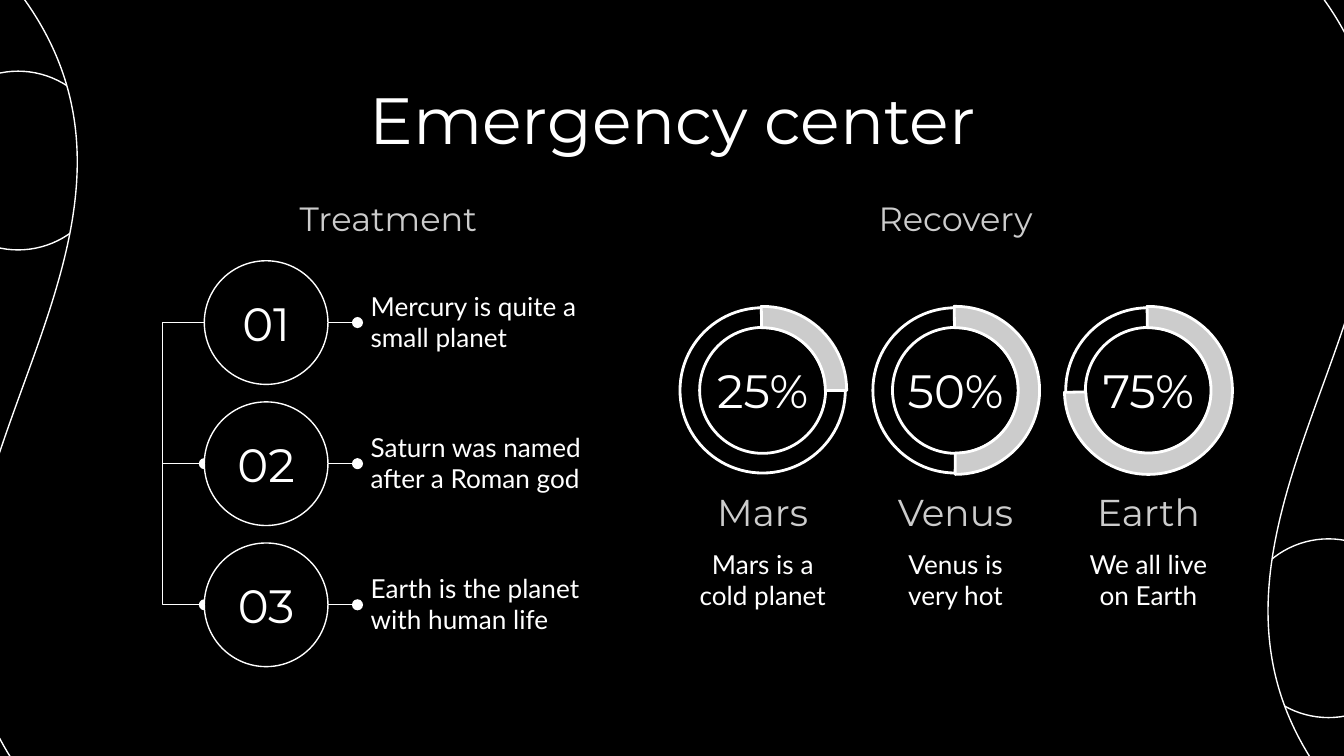
"""Build the Emergency center slide with treatment steps and recovery rings."""
from lxml import etree
from pptx import Presentation
from pptx.dml.color import RGBColor
from pptx.enum.shapes import MSO_CONNECTOR, MSO_SHAPE
from pptx.enum.text import MSO_ANCHOR, MSO_AUTO_SIZE, PP_ALIGN
from pptx.oxml.ns import qn
from pptx.util import Emu, Inches, Pt

STRAIGHT, ELBOW = MSO_CONNECTOR.STRAIGHT, MSO_CONNECTOR.ELBOW
ELLIPSE, WAVE = MSO_SHAPE.OVAL, MSO_SHAPE.WAVE
DONUT, BLOCK_ARC = MSO_SHAPE.DONUT, MSO_SHAPE.BLOCK_ARC
TOP, MIDDLE, BOTTOM = MSO_ANCHOR.TOP, MSO_ANCHOR.MIDDLE, MSO_ANCHOR.BOTTOM
LEFT, CENTER = PP_ALIGN.LEFT, PP_ALIGN.CENTER

BLACK, WHITE, GRAY = "000000", "FFFFFF", "CCCCCC"
HEADING_FONT, BODY_FONT = "Montserrat", "Lato"

TITLE = "Emergency center"
SECTIONS = [("Treatment", 0.78), ("Recovery", 5)]
STEPS = [
    ("01", "Mercury is quite a small planet"),
    ("02", "Saturn was named after a Roman god"),
    ("03", "Earth is the planet with human life"),
]
RINGS = [
    ("25%", "Mars", "Mars is a cold planet", 107.98),
    ("50%", "Venus", "Venus is very hot", 53.82),
    ("75%", "Earth", "We all live on Earth", 0.8),
]
ARC_START, ARC_THICKNESS, RING_THICKNESS = 162.57, 0.127, 0.119

SLIDE_WIDTH = Inches(10)
SLIDE_HEIGHT = SLIDE_WIDTH * 9 // 16
CIRCLE_LEFT, CIRCLE_TOP, CIRCLE_SIZE, STEP_GAP = 1.52, 1.94, 0.92, 1.05
NOTE_LEFT = 2.66
BRACKET_REACH, BRACKET_WIDTH = Inches(0.26), Emu(600)
RING_LEFT, RING_TOP, RING_SIZE = 5.05, 2.28, 1.25
RING_GAP = (7.92 - RING_LEFT) / 2


def color(hex_value):
    return RGBColor.from_string(hex_value)


def write(shape, text, size, font, ink, align=CENTER, anchor=TOP, inset=0.1):
    frame = shape.text_frame
    frame.auto_size = MSO_AUTO_SIZE.NONE
    frame.word_wrap = True
    frame.vertical_anchor = anchor
    frame.margin_left = frame.margin_right = Inches(inset)
    frame.margin_top = frame.margin_bottom = Inches(inset)
    frame.text = text
    paragraph = frame.paragraphs[0]
    paragraph.alignment = align
    paragraph.font.size = Pt(size)
    paragraph.font.name = font
    paragraph.font.color.rgb = color(ink)


def add_text(shapes, box, *args, **options):
    write(shapes.add_textbox(*map(Inches, box)), *args, **options)


def add_outline(shapes, kind, box, fill=BLACK, weight=0.75, adjustments=()):
    shape = shapes.add_shape(kind, *map(Inches, box))
    shape.shadow.inherit = False
    if fill:
        shape.fill.solid()
        shape.fill.fore_color.rgb = color(fill)
    else:
        shape.fill.background()
    shape.line.color.rgb = color(WHITE)
    shape.line.width = Pt(weight)
    for index, value in enumerate(adjustments):
        shape.adjustments[index] = value
    return shape


def add_dotted_line(shapes, kind, *ends):
    connector = shapes.add_connector(kind, *ends)
    connector.line.color.rgb = color(WHITE)
    connector.line.width = Pt(0.75)
    etree.SubElement(connector.line._get_or_add_ln(), qn("a:tailEnd"), type="oval")
    properties = connector._element.spPr
    etree.SubElement(properties, qn("a:effectLst"))
    if kind == ELBOW:
        bend = round(-BRACKET_REACH / BRACKET_WIDTH * 100000)
        guides = properties.find(qn("a:prstGeom")).get_or_add_avLst()
        etree.SubElement(guides, qn("a:gd"), name="adj1", fmla=f"val {bend}")


def add_backdrop(slide):
    slide.background.fill.solid()
    slide.background.fill.fore_color.rgb = color(BLACK)
    for left, top in [(9.22, 4.01), (-0.53, 0.53)]:
        add_outline(slide.shapes, ELLIPSE, (left, top, 1.33, 1.33))
    wave = add_outline(slide.shapes, WAVE, (2.11, -2.38, 5.79, 10.51),
                       adjustments=(0.04, 0))
    wave.rotation = 270


def add_title(slide):
    title = slide.shapes.title
    title.left, title.top, title.width, title.height = map(
        Inches, (0.79, 0.49, 8.43, 0.63))
    write(title, TITLE, 35, HEADING_FONT, WHITE)
    title._element.getparent().append(title._element)


def add_steps(shapes):
    tops = [CIRCLE_TOP + STEP_GAP * row for row in range(len(STEPS))]
    centers = [Inches(top + CIRCLE_SIZE / 2) for top in tops]
    left = Inches(CIRCLE_LEFT)
    for y in centers:
        add_dotted_line(shapes, STRAIGHT, Inches(CIRCLE_LEFT + CIRCLE_SIZE), y,
                        Inches(NOTE_LEFT), y)
    for upper, lower in zip(centers, centers[1:]):
        add_dotted_line(shapes, ELBOW, left, upper, left + BRACKET_WIDTH, lower)
    for (number, note), top in zip(STEPS, tops):
        group = shapes.add_group_shape().shapes
        add_text(group, (NOTE_LEFT, top + 0.12, 1.86, 0.67), note, 14,
                 BODY_FONT, WHITE, align=LEFT)
        circle = add_outline(group, ELLIPSE,
                             (CIRCLE_LEFT, top, CIRCLE_SIZE, CIRCLE_SIZE))
        write(circle, number, 25, HEADING_FONT, WHITE, anchor=MIDDLE, inset=0)


def add_rings(shapes):
    for column, (percent, planet, note, arc_end) in enumerate(RINGS):
        left = RING_LEFT + RING_GAP * column
        add_outline(shapes, DONUT, (left + 0.01, RING_TOP + 0.01, 1.23, 1.23),
                    None, 1.5, (RING_THICKNESS,))
        arc = add_outline(shapes, BLOCK_ARC, (left, RING_TOP, RING_SIZE, RING_SIZE),
                          GRAY, 1.5, (arc_end, ARC_START, ARC_THICKNESS))
        arc._element.spPr.get_or_add_xfrm().set("flipH", "1")
        group = shapes.add_group_shape().shapes
        add_text(group, (left + 0.1, 2.66, 1.05, 0.48), percent, 25,
                 HEADING_FONT, WHITE, anchor=MIDDLE)
        add_text(group, (left, 3.64, RING_SIZE, 0.43), planet, 20,
                 HEADING_FONT, GRAY, anchor=BOTTOM)
        add_text(group, (left, 3.98, RING_SIZE, 0.63), note, 14, BODY_FONT, WHITE)


def main():
    deck = Presentation()
    deck.slide_width, deck.slide_height = SLIDE_WIDTH, SLIDE_HEIGHT
    slide = deck.slides.add_slide(deck.slide_layouts[5])
    add_backdrop(slide)
    add_title(slide)
    for heading, left in SECTIONS:
        add_text(slide.shapes, (left, 1.38, 4.22, 0.48), heading, 18,
                 HEADING_FONT, GRAY, anchor=MIDDLE)
    add_steps(slide.shapes)
    add_rings(slide.shapes)
    deck.save("out.pptx")


if __name__ == "__main__":
    main()
